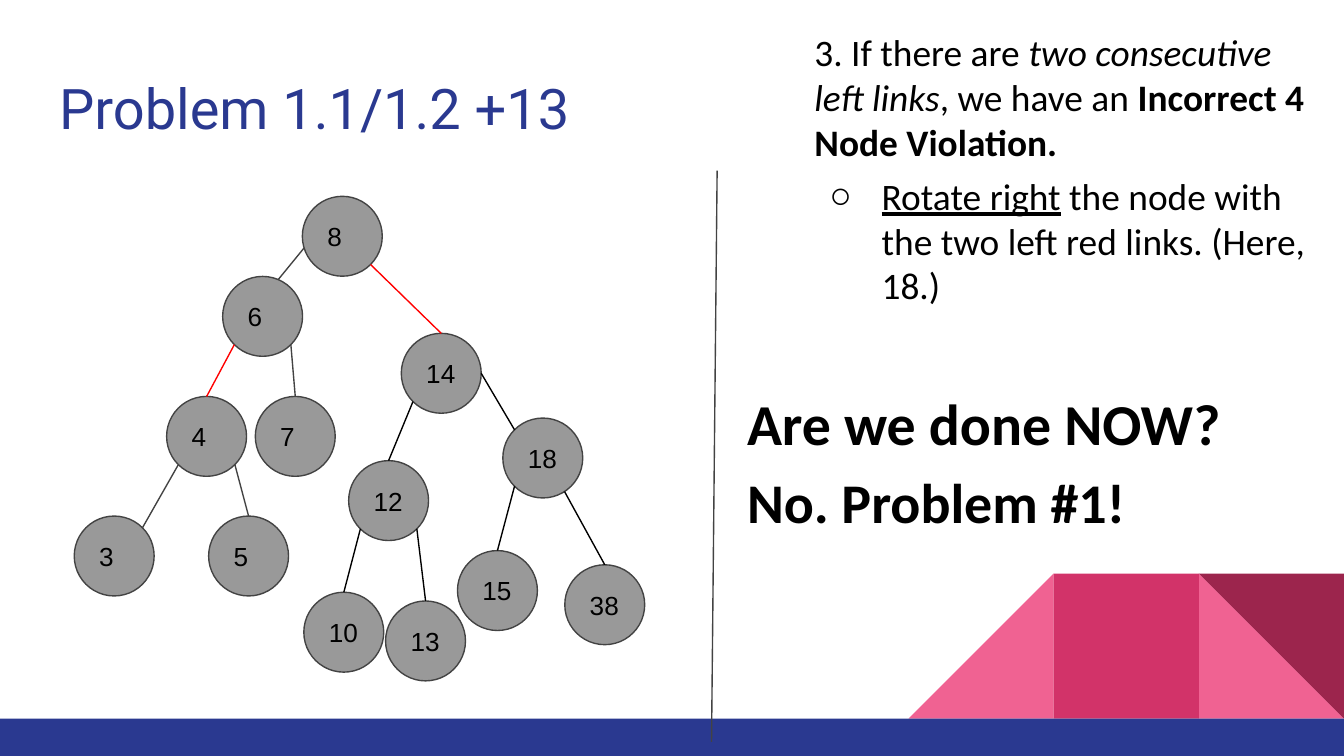
from dataclasses import dataclass
from math import cos, radians, sin

from lxml.etree import SubElement
from pptx import Presentation
from pptx.dml.color import RGBColor
from pptx.enum.shapes import MSO_CONNECTOR as Connector, MSO_SHAPE as Preset
from pptx.enum.text import MSO_ANCHOR as Anchor, MSO_AUTO_SIZE as AutoSize, PP_ALIGN as Align
from pptx.oxml.ns import qn
from pptx.shapes.autoshape import Shape
from pptx.shapes.connector import Connector as Line
from pptx.slide import Slide
from pptx.text.text import TextFrame
from pptx.util import Pt


@dataclass(frozen=True)
class Theme:
    navy: str = "2A3990"
    pink: str = "F06292"
    rose: str = "D23369"
    wine: str = "9C254D"
    node: str = "999999"
    outline: str = "434343"
    ink: str = "000000"
    red: str = "FF0000"
    heading_font: str = "Roboto"
    body_font: str = "Calibri"
    node_font: str = "Arial"
    title_size: float = 30
    question_size: float = 31
    answer_size: float = 30
    body_size: float = 20
    node_size: float = 14
    hairline: float = 0.75


@dataclass(frozen=True)
class Box:
    left: float
    top: float
    width: float
    height: float


@dataclass(frozen=True)
class Phrase:
    text: str
    bold: bool = False
    italic: bool = False
    underline: bool = False


@dataclass(frozen=True)
class Node:
    key: str
    x: float
    y: float


@dataclass(frozen=True)
class Link:
    parent: str
    child: str
    leave: float
    color: str
    arrive: float = -90


@dataclass(frozen=True)
class Facet:
    preset: Preset
    column: int
    color: str
    turn: float = 0


THEME = Theme()
RADIUS = 21.4
INSET = 7.2
FACET_SIDE = 77.76
BAND_TOP = 385

FACETS = [
    Facet(Preset.RIGHT_TRIANGLE, 1, THEME.pink),
    Facet(Preset.RIGHT_TRIANGLE, 3, THEME.pink, 270),
    Facet(Preset.RECTANGLE, 2, THEME.rose),
    Facet(Preset.RIGHT_TRIANGLE, 1, THEME.wine, 180),
]

NODES = [
    Node("8", 183.4, 126.6), Node("6", 140.7, 169.5),
    Node("7", 158.2, 233.8), Node("4", 110.7, 233.8),
    Node("5", 133.2, 297.9), Node("3", 61.2, 297.9),
    Node("14", 236.4, 200), Node("18", 290.8, 245.4),
    Node("12", 208.2, 268.2), Node("10", 184.2, 338.7),
    Node("15", 266.5, 316.4), Node("38", 324, 324),
    Node("13", 228, 343.4),
]

LINKS = [
    Link("8", "6", 163, THEME.outline, -67),
    Link("8", "14", 45, THEME.red),
    Link("6", "4", 135, THEME.red),
    Link("6", "7", 45, THEME.outline),
    Link("4", "3", 135, THEME.outline, -45),
    Link("4", "5", 45, THEME.outline),
    Link("14", "12", 135, THEME.ink),
    Link("14", "18", 0, THEME.ink, 225),
    Link("12", "10", 135, THEME.ink),
    Link("12", "13", 45, THEME.ink),
    Link("18", "15", 135, THEME.ink),
    Link("18", "38", 57, THEME.ink),
]

RULE = [
    Phrase("3. If there are "),
    Phrase("two consecutive left links", italic=True),
    Phrase(", we have an "),
    Phrase("Incorrect 4 Node Violation.", bold=True),
]
REMEDY = [
    Phrase("Rotate right", underline=True),
    Phrase(" the node with the two left red links. (Here, 18.)"),
]


def place(shape: Shape, box: Box) -> None:
    shape.left, shape.top = Pt(box.left), Pt(box.top)
    shape.width, shape.height = Pt(box.width), Pt(box.height)


def prepare(frame: TextFrame, anchor: Anchor = Anchor.TOP) -> None:
    frame.word_wrap = True
    frame.auto_size = AutoSize.NONE
    frame.vertical_anchor = anchor
    frame.margin_left = frame.margin_right = Pt(INSET)
    frame.margin_top = frame.margin_bottom = Pt(INSET)


def write(frame: TextFrame, phrases: list[Phrase], font: str, size: float,
          color: str = THEME.ink, before: float = 0):
    paragraph = frame.paragraphs[0]
    if paragraph.runs:
        paragraph = frame.add_paragraph()
    paragraph.alignment = Align.LEFT
    paragraph.space_before = Pt(before)
    for phrase in phrases:
        run = paragraph.add_run()
        run.text = phrase.text
        run.font.name, run.font.size = font, Pt(size)
        run.font.color.rgb = RGBColor.from_string(color)
        run.font.bold, run.font.italic = phrase.bold, phrase.italic
        run.font.underline = phrase.underline
    return paragraph


def indent(paragraph, margin: float, hanging: float, bullet: str = "") -> None:
    properties = paragraph._p.get_or_add_pPr()
    properties.set("marL", str(Pt(margin)))
    properties.set("indent", str(Pt(hanging)))
    if bullet:
        tint = SubElement(properties, qn("a:buClr"))
        SubElement(tint, qn("a:srgbClr")).set("val", THEME.ink)
        SubElement(properties, qn("a:buChar")).set("char", bullet)
    else:
        SubElement(properties, qn("a:buNone"))


def draw_solid(slide: Slide, preset: Preset, box: Box, color: str) -> Shape:
    solid = slide.shapes.add_shape(preset, 0, 0, 0, 0)
    place(solid, box)
    solid.shadow.inherit = False
    solid.fill.solid()
    solid.fill.fore_color.rgb = RGBColor.from_string(color)
    solid.line.fill.background()
    return solid


def draw_line(slide: Slide, start: tuple[float, float], end: tuple[float, float], color: str) -> Line:
    line = slide.shapes.add_connector(Connector.STRAIGHT, *map(Pt, start + end))
    line.line.color.rgb = RGBColor.from_string(color)
    line.line.width = Pt(THEME.hairline)
    SubElement(line._element.spPr, qn("a:effectLst"))
    return line


def draw_node(slide: Slide, node: Node) -> Shape:
    box = Box(node.x - RADIUS, node.y - RADIUS, 2 * RADIUS, 2 * RADIUS)
    circle = draw_solid(slide, Preset.OVAL, box, THEME.node)
    circle.line.color.rgb = RGBColor.from_string(THEME.outline)
    circle.line.width = Pt(THEME.hairline)
    prepare(circle.text_frame, Anchor.MIDDLE)
    circle.text_frame.margin_right = 0
    write(circle.text_frame, [Phrase(node.key)], THEME.node_font, THEME.node_size)
    return circle


def rim(node: Node, angle: float) -> tuple[float, float]:
    return node.x + RADIUS * cos(radians(angle)), node.y + RADIUS * sin(radians(angle))


def draw_tree(slide: Slide) -> None:
    nodes = {node.key: node for node in NODES}
    circles = {node.key: draw_node(slide, node) for node in NODES}
    for link in LINKS:
        start = rim(nodes[link.parent], link.leave)
        end = rim(nodes[link.child], link.arrive)
        line = draw_line(slide, start, end, link.color)
        if link.arrive == -90:
            line.end_connect(circles[link.child], 0)


def main() -> None:
    deck = Presentation()
    deck.slide_width, deck.slide_height = Pt(720), Pt(405)
    slide = deck.slides.add_slide(deck.slide_layouts[1])

    for facet in FACETS:
        box = Box(720 - facet.column * FACET_SIDE, BAND_TOP - FACET_SIDE, FACET_SIDE, FACET_SIDE)
        draw_solid(slide, facet.preset, box, facet.color).rotation = facet.turn
    draw_solid(slide, Preset.RECTANGLE, Box(0, BAND_TOP, 720, 20), THEME.navy)

    heading, advice = slide.shapes.title, slide.placeholders[1]
    place(heading, Box(24.5, 32.4, 671, 47.5))
    prepare(heading.text_frame)
    write(heading.text_frame, [Phrase("Problem 1.1/1.2 +13")],
          THEME.heading_font, THEME.title_size, THEME.navy)

    place(advice, Box(393.1, 8.6, 322.6, 236.2))
    prepare(advice.text_frame)
    rule = write(advice.text_frame, RULE, THEME.body_font, THEME.body_size, before=6)
    indent(rule, 36, 0)
    remedy = write(advice.text_frame, REMEDY, THEME.body_font, THEME.body_size, before=4.8)
    remedy.level = 1
    indent(remedy, 72, -28, "○")

    verdict = slide.shapes.add_textbox(Pt(393.1), Pt(200.2), Pt(331.9), Pt(72.7)).text_frame
    prepare(verdict)
    for text, size in [("Are we done NOW?", THEME.question_size), ("No. Problem #1!", THEME.answer_size)]:
        write(verdict, [Phrase(text, bold=True)], THEME.body_font, size, before=6)

    draw_line(slide, (384.2, 91.4), (381.2, 397.4), THEME.outline)
    draw_tree(slide)
    deck.save("out.pptx")


if __name__ == "__main__":
    main()
